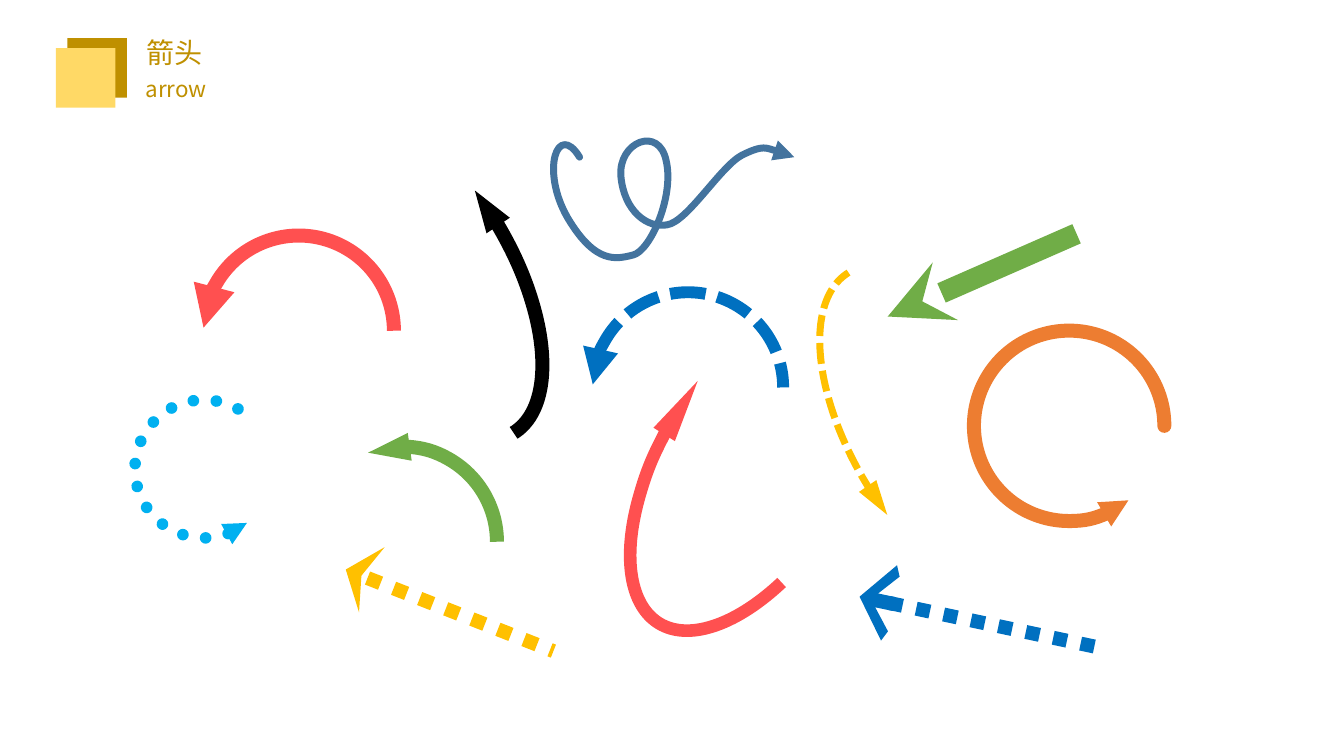
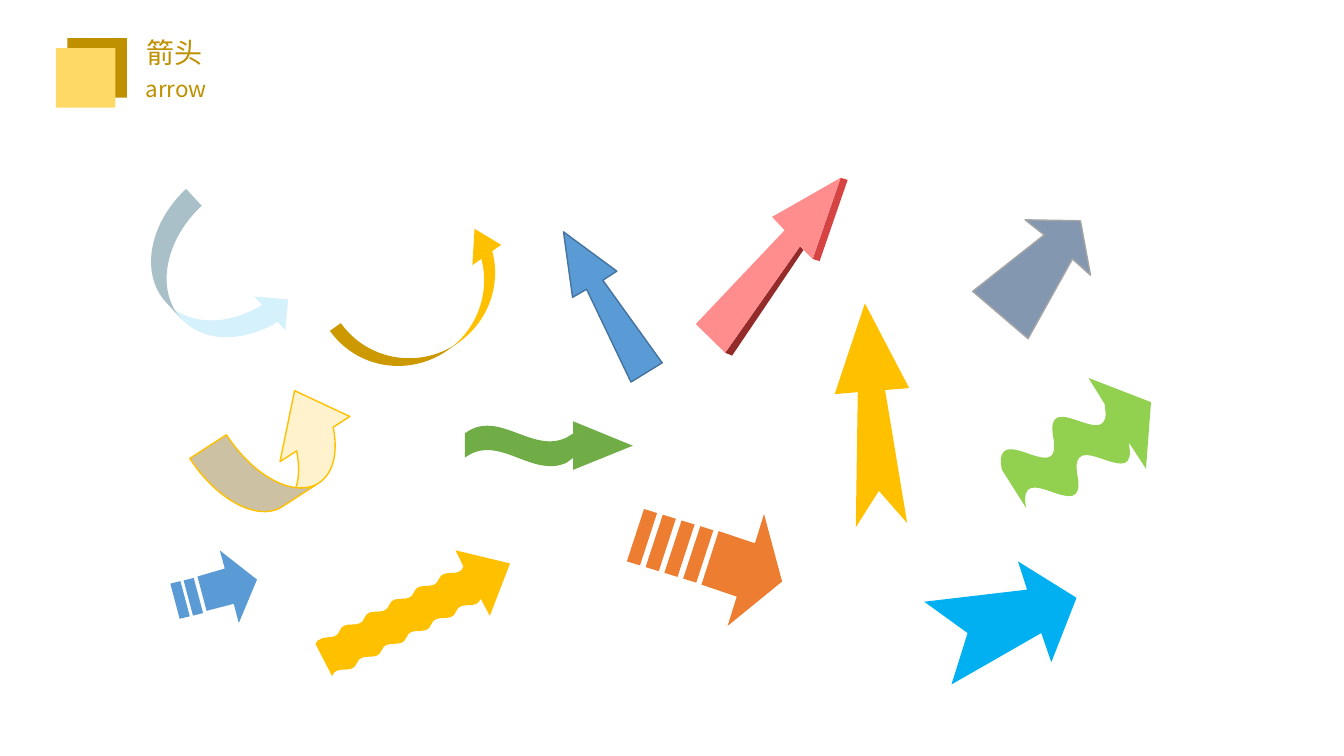
from lxml.etree import SubElement
from pptx import Presentation
from pptx.dml.color import RGBColor
from pptx.enum.dml import MSO_LINE
from pptx.enum.shapes import MSO_CONNECTOR, MSO_SHAPE as SHAPE
from pptx.enum.text import MSO_AUTO_SIZE
from pptx.oxml.ns import qn
from pptx.util import Pt

DASH = MSO_LINE.SQUARE_DOT
DOT = MSO_LINE.ROUND_DOT


def rgb(value):
    return RGBColor.from_string(value)


def pairs(point):
    return [(Pt(x), Pt(y)) for x, y in zip(point[::2], point[1::2])]


def bend(sp, points):
    segments = iter(list(sp.element.iter(qn("a:lnTo"))))
    for point in points:
        segment = next(segments)
        if len(point) == 6:
            segment.addprevious(curve := segment.makeelement(qn("a:cubicBezTo")))
            for part in (segment, next(segments), next(segments)):
                curve.append(part[0])
                part.getparent().remove(part)


def ripples(x, y, dx, dy, count):
    return [(x + dx * (i + 0.18), y + dy * (i + 0.95),
             x + dx * (i + 0.82), y + dy * (i + 0.05),
             x + dx * (i + 1), y + dy * (i + 1)) for i in range(count)]


class Deck:
    GOLD = "BF9000"
    PALE_GOLD = "FFD966"
    RED = "FF5050"
    GREEN = "70AD47"
    AMBER = "FFC000"
    ORANGE = "ED7D31"
    SKY = "00B0F0"
    BLUE = "0070C0"
    STEEL = "5B9BD5"
    DARK_STEEL = "43739E"

    def __init__(self):
        self.prs = Presentation()
        self.prs.slide_width, self.prs.slide_height = Pt(960), Pt(540)
        self.s = None

    def slide(self, title, subtitle):
        self.s = self.prs.slides.add_slide(self.prs.slide_layouts[6])
        group = self.s.shapes.add_group_shape()
        for x, y, color in ((48.2, 27.3, self.GOLD), (40, 34.4, self.PALE_GOLD)):
            sp = group.shapes.add_shape(SHAPE.RECTANGLE, Pt(x), Pt(y), Pt(42.5), Pt(42.5))
            self.paint(sp, color)
        self.text(group, title, (105, 25.6, 115.2, 24.5), 20, "Arial")
        self.text(group, subtitle, (100.5, 54, 98.6, 19.4), 16, "Noto Sans CJK SC")

    def text(self, group, text, box, size, font):
        sp = group.shapes.add_textbox(*map(Pt, box))
        tf = sp.text_frame
        tf.text = text
        tf.word_wrap = True
        tf.auto_size = MSO_AUTO_SIZE.SHAPE_TO_FIT_TEXT
        tf.margin_left = tf.margin_right = tf.margin_top = tf.margin_bottom = 0
        r = tf.paragraphs[0].runs[0]
        r.font.size, r.font.name = Pt(size), font
        r.font.color.rgb = rgb(self.GOLD)

    def paint(self, sp, fill=None, line=None):
        sp.shadow.inherit = False
        if fill:
            sp.fill.solid()
            sp.fill.fore_color.rgb = rgb(fill)
        else:
            sp.fill.background()
        if line:
            self.stroke(sp, line, 1)
        else:
            sp.line.fill.background()

    def stroke(self, sp, color, width, dash=None, cap=None):
        sp.line.width = Pt(width)
        sp.line.color.rgb = rgb(color)
        if dash:
            sp.line.dash_style = dash
        if cap:
            sp.line._get_or_add_ln().set("cap", cap)

    def tip(self, sp, end="headEnd", kind="triangle", w="med", length="med"):
        SubElement(sp.line._get_or_add_ln(), qn("a:" + end), type=kind, w=w, len=length)

    def arc(self, box, angles, color, width, rot=0, flip="", dash=None, cap=None,
            w="med", length="med"):
        sp = self.s.shapes.add_shape(SHAPE.ARC, *map(Pt, box))
        for i, angle in enumerate(angles):
            sp.adjustments[i] = angle * 0.6
        sp.rotation = rot
        for axis in flip:
            sp.element.spPr.find(qn("a:xfrm")).set("flip" + axis, "1")
        self.paint(sp)
        self.stroke(sp, color, width, dash, cap)
        self.tip(sp, w=w, length=length)

    def line(self, tip, tail, color, width, kind, dash=None, w="med", length="med"):
        sp = self.s.shapes.add_connector(MSO_CONNECTOR.STRAIGHT, *map(Pt, tip + tail))
        self.stroke(sp, color, width, dash)
        self.tip(sp, kind=kind, w=w, length=length)
        SubElement(sp.element.spPr, qn("a:effectLst"))

    def curved_arrow(self, box, rot, fill, adjust=(), line=None):
        sp = self.s.shapes.add_shape(SHAPE.CURVED_UP_ARROW, *map(Pt, box))
        for i, value in enumerate(adjust):
            sp.adjustments[i] = value
        sp.rotation = rot
        self.paint(sp, fill, line)

    def outline(self, *contours, close=True):
        builder = None
        for first, *rest in contours:
            start = pairs(first)[0]
            if builder is None:
                builder = self.s.shapes.build_freeform(*start)
            else:
                builder.move_to(*start)
            builder.add_line_segments([xy for point in rest for xy in pairs(point)],
                                      close=close)
        sp = builder.convert_to_shape()
        bend(sp, [point for contour in contours for point in contour[1:]])
        return sp

    def block(self, points, fill, line=None):
        self.paint(self.outline(points), fill, line)

    def striped(self, head, stripe, step, count, fill):
        dx, dy = step
        stripes = [[(x + dx * i, y + dy * i) for x, y in stripe] for i in range(count)]
        self.paint(self.outline(*stripes, head), fill)

    def curve(self, points, color, width):
        sp = self.outline(points, close=False)
        self.paint(sp)
        self.stroke(sp, color, width, cap="rnd")
        self.tip(sp, "tailEnd")


def line_arrows(d):
    d.slide("箭头", " arrow")
    d.arc((145.4, 168.3, 136, 136), (181.87, 0), d.RED, 10)
    d.arc((219, 319, 136, 136), (249.32, 0), d.GREEN, 10, w="sm")
    d.arc((158.6, 124.6, 273.6, 136), (249.32, 0), "000000", 10, rot=58.5, w="sm")
    d.arc((540.8, 243.4, 273.6, 136), (249.32, 0), d.AMBER, 5, rot=58.5, flip="HV",
          dash=DASH, length="lg")
    d.arc((695.7, 236.2, 136, 136), (51.48, 0), d.ORANGE, 10, cap="rnd",
          w="sm", length="sm")
    d.arc((96.4, 285.7, 98.6, 98.6), (51.48, 316.76), d.SKY, 8.25, dash=DOT, cap="rnd",
          w="sm", length="sm")
    d.arc((405.4, 260.6, 273.6, 136), (249.32, 41.96), d.RED, 9, rot=301.5, flip="H",
          w="sm", length="lg")
    d.line((614, 426.2), (790.6, 463.7), d.BLUE, 10, "arrow", DOT, w="lg", length="sm")
    d.line((247, 406.8), (395.3, 465.1), d.AMBER, 10, "stealth", DOT, w="lg", length="sm")
    d.line((634.1, 226.1), (769, 167), d.GREEN, 15, "stealth")
    d.arc((423.4, 208.8, 136, 136), (181.87, 0), d.BLUE, 8.5, dash=DASH)
    d.curve([(414, 112.3), (398.2, 86.4, 385.9, 121.7, 405.4, 155.5),
             (425.5, 189.4, 440.6, 185, 452.2, 182.2),
             (464.4, 179.3, 481.7, 140.4, 475.9, 115.2),
             (470.9, 89.3, 441.4, 101.5, 443.5, 126),
             (445.7, 150.5, 462.2, 163.4, 476.6, 160.6),
             (491, 158.4, 514.8, 118.8, 529.9, 110.9),
             (545.8, 103, 556.6, 108, 567.4, 112.3)], d.DARK_STEEL, 5)


def block_arrows(d):
    d.slide("箭头", " arrow")
    d.curved_arrow((89, 169.9, 123.8, 65.5), 47.3, "D5F1FB")
    d.curved_arrow((143.7, 290, 118.8, 64.8), 327.1, "FFF2CC", (0.48, 0.94, 0.57), d.AMBER)
    d.curved_arrow((240.2, 190.8, 139, 59.8), 324.8, d.AMBER, (0.16, 0.42, 0.34))
    d.block([(409.5, 301), (452, 318.4), (409.5, 335.6), (409.5, 327), (404.8, 330.5),
             (380, 342, 356, 309, 332, 327), (332, 309.6),
             (356, 291.6, 380, 324.7, 404.8, 312.5), (409.5, 309.6)], d.GREEN)
    d.block([(325.4, 393.1), (364.3, 402.5), (349.9, 439.9), (343.4, 427.7),
             *ripples(343.4, 427.7, -17.7, 9.2, 6), (225.4, 460.1),
             (226, 458, 227.5, 457, 229, 456.5), (233, 454, 240.5, 457, 242.6, 450.7),
             *ripples(242.6, 450.7, 17.7, -9.2, 5)], d.AMBER)
    d.block([(402.5, 165.6), (440.6, 193.7), (430.6, 200.2), (473, 259.2),
             (450.7, 272.9), (419, 206.6), (409, 212.4)], d.STEEL, d.DARK_STEEL)
    d.block([(617.8, 216.7), (649.4, 277.2), (632.2, 278.6), (648, 373.7),
             (627.8, 350.6), (611.3, 376.6), (612.7, 280.1), (596.2, 281.5)], d.AMBER)
    d.block([(771.8, 157.7), (779, 196.6), (766.1, 185), (734.4, 241.9),
             (694.8, 208.1), (745.9, 167.8), (732.2, 157)], "8497B0", "A5A5A5")
    d.block([(769, 427), (751, 473), (743.8, 452.2), (679.7, 488.9),
             (691.2, 452.2), (660.2, 429.8), (733.7, 421.2), (727.2, 401)], d.SKY)
    d.block([(777.6, 270), (822.2, 287.3), (818.6, 334.8), (806.4, 316.1), (807.1, 322.6),
             (807.8, 348.5, 763.2, 303.8, 769.7, 339.8),
             (776.9, 378, 725.8, 324.7, 733, 362.9), (715.7, 335.5),
             (714.2, 328.3, 715, 324.7, 717.1, 322.6),
             (725.8, 313.9, 758.2, 343.4, 752.4, 312.5),
             (745.9, 276.5, 789.8, 321.1, 789.8, 295.2), (789.1, 288.7)], "92D050")
    d.block([(518, 252), (523, 254), (574, 178.5), (571.5, 176)], "942B2B")
    d.block([(600.5, 127), (605.5, 128.5), (585.5, 186.5), (580.5, 185)], "D64343")
    d.block([(600.5, 127), (580.5, 185), (571.5, 176), (518, 252),
             (497, 231.5), (560.5, 164.5), (551.5, 155)], "FF8D8D")
    d.striped([(157, 393.1), (183.6, 414), (170.6, 445), (167, 431.3),
               (147.6, 436.3), (141.1, 411.8), (160.6, 406.1)],
              [(121.7, 416.9), (128.9, 415.1), (135.6, 440.2), (128.4, 442)],
              (9.5, -2.3), 2, d.STEEL)
    d.striped([(545.8, 367.2), (558.7, 415.4), (519.8, 447.1), (526.3, 426.2),
               (501.1, 417.6), (513.4, 379.4), (539.3, 388.1)],
              [(460.1, 363.6), (469.4, 366.5), (457.2, 403.9), (447.8, 401)],
              (13.4, 4.1), 4, d.ORANGE)


def main():
    d = Deck()
    line_arrows(d)
    block_arrows(d)
    d.prs.save("out.pptx")


if __name__ == "__main__":
    main()
